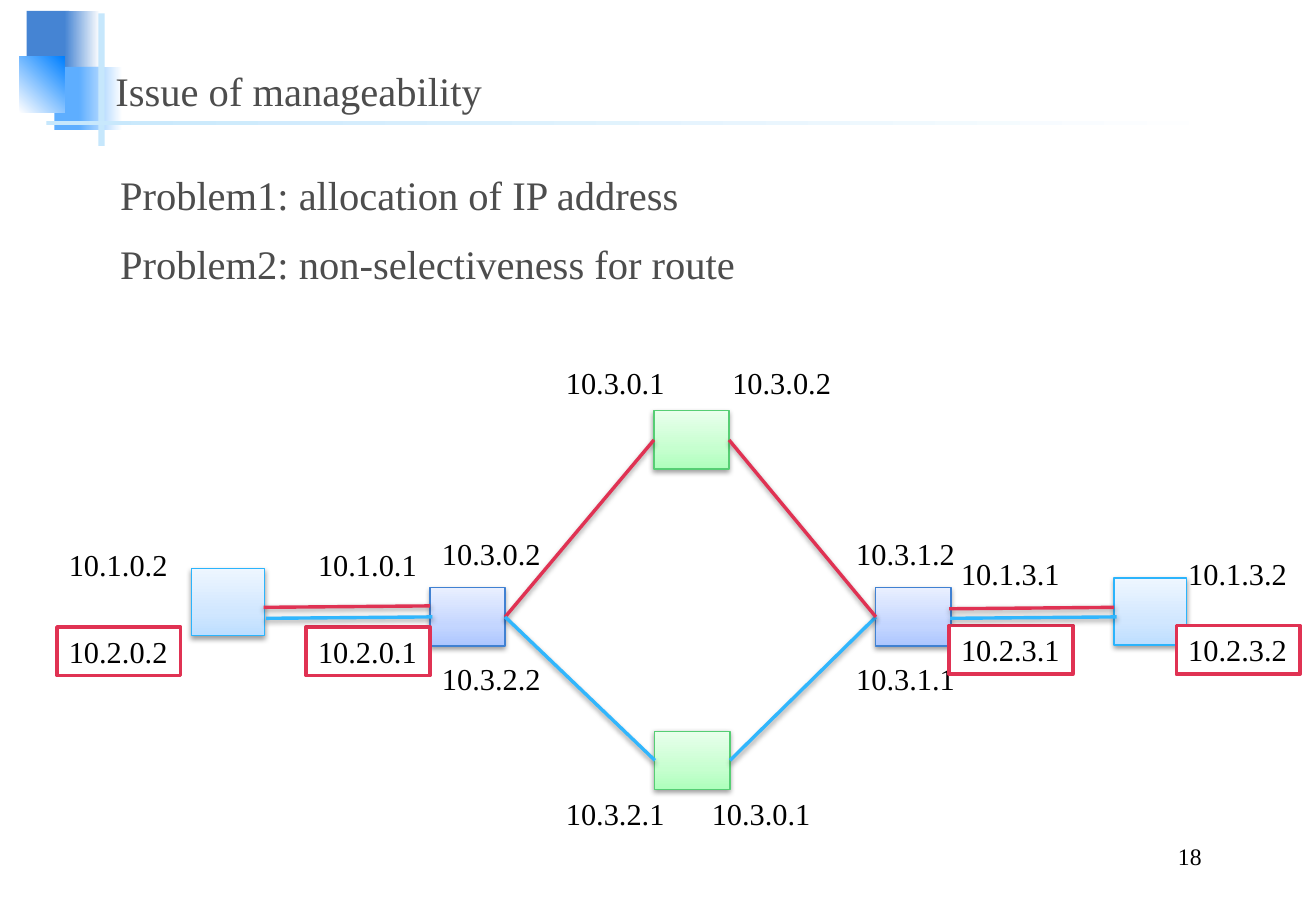
from lxml import etree
from pptx import Presentation
from pptx import util as u
from pptx.dml.color import RGBColor
from pptx.enum import shapes, text
from pptx.oxml.ns import qn

# Content (all lengths in centimetres)
FONT = "Times New Roman"
RED, BLUE, GREY, BLACK = "E03253", "31B6FD", "4D4D4D", "000000"
TITLE = "Issue of manageability"
PROBLEMS = ["Problem1: allocation of IP address",
            "Problem2: non-selectiveness for route"]
PAGE_NUMBER = "18"

# Corner ornament: left, top, width, height, gradient colours, angle
ORNAMENT = [
    (0.56, 0.23, 0.89, 1.32, ["4584D3"], 0),
    (1.35, 0.23, 0.74, 1.32, ["4584D3", "FFFFFF"], 0),
    (1.14, 1.4, 1.04, 1.32, ["5EAEFF"], 0),
    (1.65, 1.4, 0.91, 1.32, ["5EAEFF", "FFFFFF"], 0),
    (0.41, 1.19, 0.94, 1.17, ["FFFFFF", "0080FF"], 45),
    (2.06, 0.28, 0.13, 2.77, ["C6E7FC"], 0),
    (0.97, 2.54, 24.77, 0.08, ["C6E7FC", "FFFFFF"], 0),
]

# Node kinds: width, height, gradient from bottom to top, outline
KINDS = {
    "edge": (1.57, 1.22, ["ACC6FF", "C4D6FF", "E9EFFF"], "4081D2"),
    "core": (1.57, 1.22, ["AEFFBC", "C6FFCF", "E9FFEC"], "56CE74"),
    "host": (1.52, 1.4, ["BDDEFF", "D1E7FF", "EEF6FF"], "2BB4FC"),
}
NODES = {
    "edge left": ("edge", 8.99, 12.29),
    "edge right": ("edge", 18.31, 12.29),
    "core top": ("core", 13.67, 8.59),
    "core bottom": ("core", 13.69, 15.29),
    "host left": ("host", 4.01, 11.89),
    "host right": ("host", 23.29, 12.09),
}
LEFT_SIDE, RIGHT_SIDE = 1, 3
CORE_LINKS = [
    ("core top", LEFT_SIDE, "edge left", RIGHT_SIDE, RED),
    ("core bottom", RIGHT_SIDE, "edge right", LEFT_SIDE, BLUE),
    ("core top", RIGHT_SIDE, "edge right", LEFT_SIDE, RED),
    ("core bottom", LEFT_SIDE, "edge left", RIGHT_SIDE, BLUE),
]
HOST_LINKS = [
    (8.99, 12.67, 5.51, 12.7, RED),
    (23.29, 12.7, 19.84, 12.73, RED),
    (9.04, 12.9, 5.56, 12.93, BLUE),
    (23.34, 12.9, 19.86, 12.93, BLUE),
]

LABEL_SIZE = (2.59, 1.02)
ADDRESSES = [
    ("10.3.0.1", 11.58, 7.49), ("10.3.0.2", 15.06, 7.49),
    ("10.3.0.2", 8.99, 11.07), ("10.3.1.2", 17.65, 11.07),
    ("10.1.0.2", 1.19, 11.3), ("10.1.0.1", 6.4, 11.3),
    ("10.1.3.1", 19.84, 11.48), ("10.1.3.2", 24.59, 11.48),
    ("10.3.2.2", 8.99, 13.69), ("10.3.1.1", 17.65, 13.69),
    ("10.3.2.1", 11.58, 16.51), ("10.3.0.1", 14.63, 16.51),
]
FRAMED_ADDRESSES = [
    ("10.2.0.2", 1.19, 13.11), ("10.2.0.1", 6.4, 13.11),
    ("10.2.3.1", 19.84, 13.08), ("10.2.3.2", 24.59, 13.08),
]


def rgb(value):
    return RGBColor.from_string(value)


def cm(*lengths):
    return [u.Cm(length) for length in lengths]


def paint(shape, colours, angle=0):
    """Fill with one colour, or with a gradient of two or three."""
    if len(colours) == 1:
        shape.fill.solid()
        shape.fill.fore_color.rgb = rgb(colours[0])
        return
    shape.fill.gradient()
    shape.fill.gradient_angle = angle
    stops = shape._element.spPr.find(qn("a:gradFill")).find(qn("a:gsLst"))
    for stop in list(stops):
        stops.remove(stop)
    places = [0, 100] if len(colours) == 2 else [0, 35, 100]
    for place, colour in zip(places, colours):
        stop = etree.SubElement(stops, qn("a:gs"), pos=str(place * 1000))
        etree.SubElement(stop, qn("a:srgbClr"), val=colour)


def outline(item, colour, points):
    item.line.color.rgb = rgb(colour)
    item.line.width = u.Pt(points)


def cast_shadow(item):
    effects = etree.SubElement(item._element.spPr, qn("a:effectLst"))
    shadow = etree.SubElement(effects, qn("a:outerShdw"), blurRad="40000",
                              dist="20000", dir="5400000", rotWithShape="0")
    colour = etree.SubElement(shadow, qn("a:srgbClr"), val=BLACK)
    etree.SubElement(colour, qn("a:alpha"), val="38000")


def add_rectangle(page, left, top, width, height):
    return page.shapes.add_shape(shapes.MSO_SHAPE.RECTANGLE,
                                 *cm(left, top, width, height))


def add_link(page, start_x, start_y, end_x, end_y, colour):
    link = page.shapes.add_connector(shapes.MSO_CONNECTOR.STRAIGHT,
                                     *cm(start_x, start_y, end_x, end_y))
    outline(link, colour, 2)
    cast_shadow(link)
    return link


def write(box, lines, size, colour, align=text.PP_ALIGN.LEFT,
          anchor=text.MSO_ANCHOR.TOP, wrap=True):
    frame = box.text_frame
    frame.text = "\n".join(lines)
    frame.word_wrap = wrap
    frame.vertical_anchor = anchor
    for para in frame.paragraphs:
        para.alignment = align
        para.font.name = FONT
        para.font.size = u.Pt(size)
        para.font.color.rgb = rgb(colour)
    return frame


def main():
    deck = Presentation()
    deck.slide_width, deck.slide_height = cm(27.51, 19.05)
    page = deck.slides.add_slide(deck.slide_layouts[5])

    # Corner ornament
    for left, top, width, height, colours, angle in ORNAMENT:
        block = add_rectangle(page, left, top, width, height)
        paint(block, colours, angle)
        block.line.fill.background()
        block.shadow.inherit = False

    # Title in front of the ornament, problems and page number
    title = page.shapes.title
    page.shapes._spTree.append(title._element)
    title.left, title.top, title.width, title.height = cm(2.16, 0.93, 23.6, 1.6)
    write(title, [TITLE], 24, GREY, anchor=text.MSO_ANCHOR.BOTTOM)

    body = page.shapes.add_textbox(*cm(2.26, 3.23, 23.01, 13.51))
    frame = write(body, PROBLEMS, 24, GREY)
    for index, para in enumerate(frame.paragraphs):
        para.line_spacing = 1.2
        para.space_before = u.Pt(6 if index else 0)

    number = page.shapes.add_textbox(*cm(19.63, 17.53, 5.74, 0.79))
    write(number, [PAGE_NUMBER], 14, BLACK, text.PP_ALIGN.RIGHT,
          text.MSO_ANCHOR.BOTTOM)

    # Network nodes
    nodes = {}
    for name, (kind, left, top) in NODES.items():
        width, height, colours, edge = KINDS[kind]
        node = nodes[name] = add_rectangle(page, left, top, width, height)
        paint(node, colours, 90)
        outline(node, edge, 0.75)
        cast_shadow(node)

    # Links between switches
    for start, start_side, end, end_side, colour in CORE_LINKS:
        link = add_link(page, 0, 0, 1, 1, colour)
        link.begin_connect(nodes[start], start_side)
        link.end_connect(nodes[end], end_side)

    # Addresses
    for address, left, top in ADDRESSES:
        label = page.shapes.add_textbox(*cm(left, top, *LABEL_SIZE))
        write(label, [address], 18, BLACK, wrap=False)
    for address, left, top in FRAMED_ADDRESSES:
        label = add_rectangle(page, left, top, *LABEL_SIZE)
        paint(label, ["FFFFFF"])
        outline(label, RED, 2)
        label.shadow.inherit = False
        write(label, [address], 18, BLACK, wrap=False)

    # Links to hosts
    for host_link in HOST_LINKS:
        add_link(page, *host_link)

    deck.save("out.pptx")


if __name__ == "__main__":
    main()
